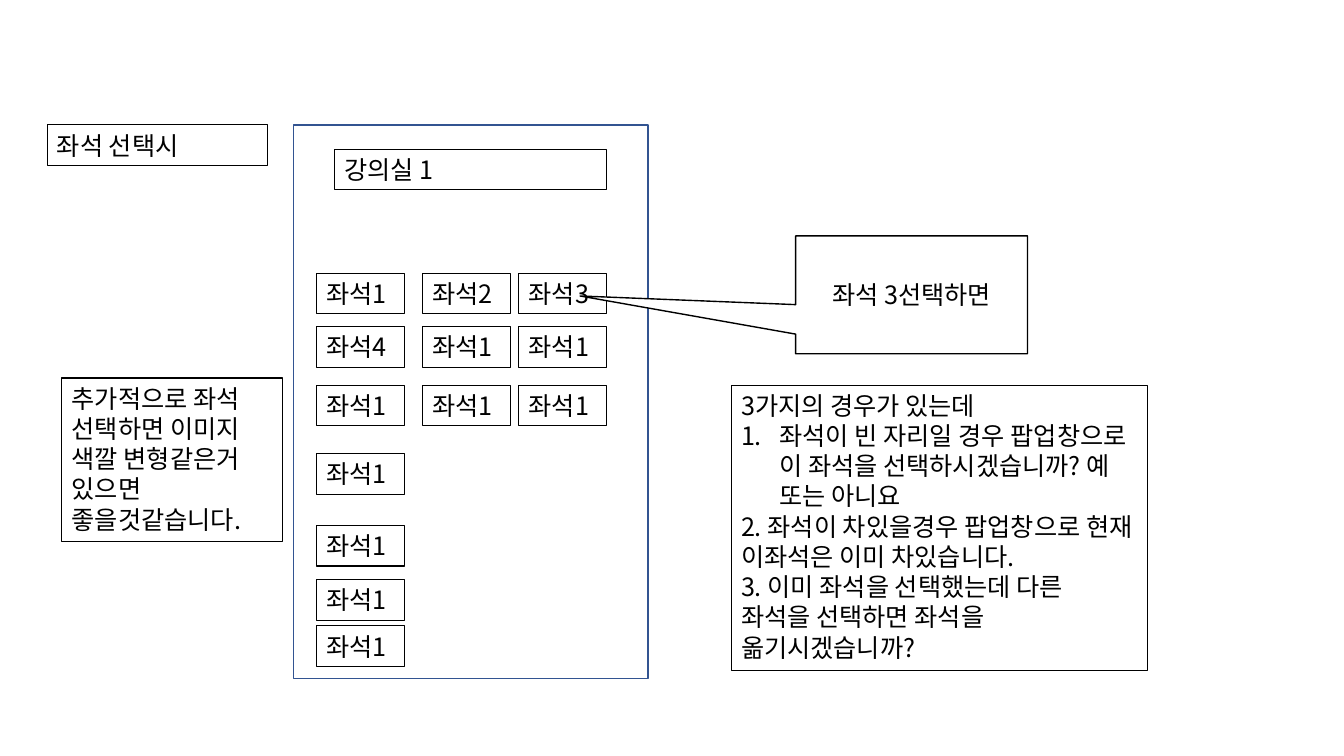
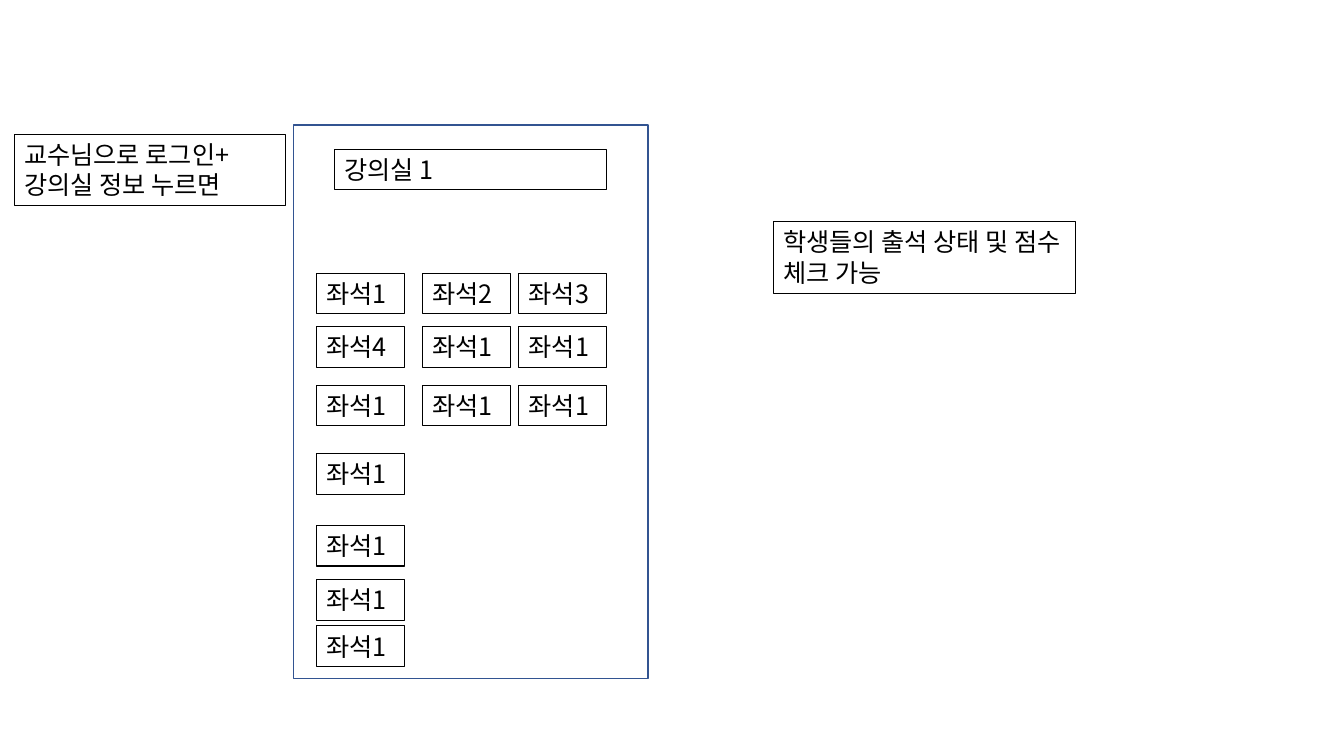
"""Build two wireframe slides for choosing and checking classroom seats."""
from dataclasses import dataclass

from lxml.etree import SubElement
from pptx import Presentation
from pptx.dml.color import RGBColor
from pptx.enum.shapes import MSO_SHAPE as Preset
from pptx.enum.text import MSO_ANCHOR as Anchor, MSO_AUTO_SIZE as Fit, PP_ALIGN as Align
from pptx.oxml.ns import qn
from pptx.util import Inches, Pt


@dataclass(frozen=True)
class Theme:
    font: str = "Noto Sans CJK KR"
    size: int = 18
    text: str = "000000"
    paper: str = "FFFFFF"
    panel_line: str = "325491"
    thin: float = 0.75
    medium: float = 1


theme = Theme()
LABEL = {
    "preset": Preset.RECTANGLE, "fill": None, "line": theme.text, "width": theme.thin,
    "frame": {"word_wrap": True, "auto_size": Fit.SHAPE_TO_FIT_TEXT, "vertical_anchor": Anchor.TOP},
    "paragraph": {"alignment": Align.LEFT},
}
PANEL = LABEL | {"fill": theme.paper, "line": theme.panel_line, "width": theme.medium}
CALLOUT = {
    "preset": Preset.RECTANGULAR_CALLOUT, "fill": theme.paper,
    "line": theme.text, "width": theme.medium,
    "frame": {"word_wrap": True, "vertical_anchor": Anchor.MIDDLE},
    "paragraph": {"alignment": Align.CENTER},
}

presentation = Presentation()
presentation.slide_width, presentation.slide_height = Inches(13.33), Inches(7.5)


def apply(target, values):
    for name, value in values.items():
        setattr(target, name, value)


def draw(slide, area, style, lines=()):
    left, top, width, height = area
    across, down = presentation.slide_width / 100, presentation.slide_height / 100
    shape = slide.shapes.add_shape(
        style["preset"], int(left * across), int(top * down), int(width * across), int(height * down))
    shape.shadow.inherit = False
    if style["fill"]:
        shape.fill.solid()
        shape.fill.fore_color.rgb = RGBColor.from_string(style["fill"])
    else:
        shape.fill.background()
    shape.line.color.rgb = RGBColor.from_string(style["line"])
    shape.line.width = Pt(style["width"])
    if lines:
        apply(shape.text_frame, style["frame"])
        shape.text_frame.text = "\n".join(lines)
        for paragraph in shape.text_frame.paragraphs:
            apply(paragraph, style["paragraph"])
            font = paragraph.runs[0].font
            apply(font, {"name": theme.font, "size": Pt(theme.size)})
            font.color.rgb = RGBColor.from_string(theme.text)
            SubElement(paragraph.runs[0]._r.get_or_add_rPr(), qn("a:ea"), typeface=theme.font)
    return shape


SEAT_COLUMNS = (23.55, 31.45, 38.6)
SEAT_ROWS = (36.13, 43.2, 50.93, 60, 69.47, 76.67, 82.8)
SEAT_NUMBERS = ((1, 2, 3), (4, 1, 1), (1, 1, 1), (1,), (1,), (1,), (1,))
SEAT_SIZE = (6.55, 5.4)

slides = []
for number in range(2):
    slide = presentation.slides.add_slide(presentation.slide_layouts[6])
    draw(slide, (21.83, 16.53, 26.4, 73.2), PANEL)
    draw(slide, (24.9, 19.73, 20.2, 5.4), LABEL, ["강의실 1"])
    for top, seats in zip(SEAT_ROWS, SEAT_NUMBERS):
        for left, seat in zip(SEAT_COLUMNS, seats):
            draw(slide, (left, top, *SEAT_SIZE), LABEL, [f"좌석{seat}"])
    slides.append(slide)
selection, attendance = slides

draw(selection, (3.5, 16.53, 16.4, 5.4), LABEL, ["좌석 선택시"])
callout = draw(selection, (59.2, 31.2, 17.25, 15.6), CALLOUT, ["좌석 3선택하면"])
callout.adjustments[0], callout.adjustments[1] = -1.43, 0.01
cases = draw(selection, (54.4, 50.93, 31, 37.8), LABEL, [
    "3가지의 경우가 있는데",
    "좌석이 빈 자리일 경우 팝업창으로 이 좌석을 선택하시겠습니까? 예 또는 아니요",
    "2. 좌석이 차있을경우 팝업창으로 현재 이좌석은 이미 차있습니다.",
    "3. 이미 좌석을 선택했는데 다른 좌석을 선택하면 좌석을 옮기시겠습니까?",
])
numbered = cases.text_frame.paragraphs[1]._p.get_or_add_pPr()
indent = Inches(0.38)
numbered.set("marL", str(indent))
numbered.set("indent", str(-indent))
SubElement(numbered, qn("a:buFont"), typeface="+mj-lt")
SubElement(numbered, qn("a:buAutoNum"), type="arabicPeriod")
draw(selection, (4.6, 50, 16.4, 21.6), LABEL,
     ["추가적으로 좌석 선택하면 이미지 색깔 변형같은거 있으면 좋을것같습니다."])

draw(attendance, (57.55, 29.33, 22.5, 9.5), LABEL, ["학생들의 출석 상태 및 점수 체크 가능"])
draw(attendance, (1.05, 17.73, 20.2, 9.5), LABEL, ["교수님으로 로그인+", "강의실 정보 누르면"])

presentation.save("out.pptx")
